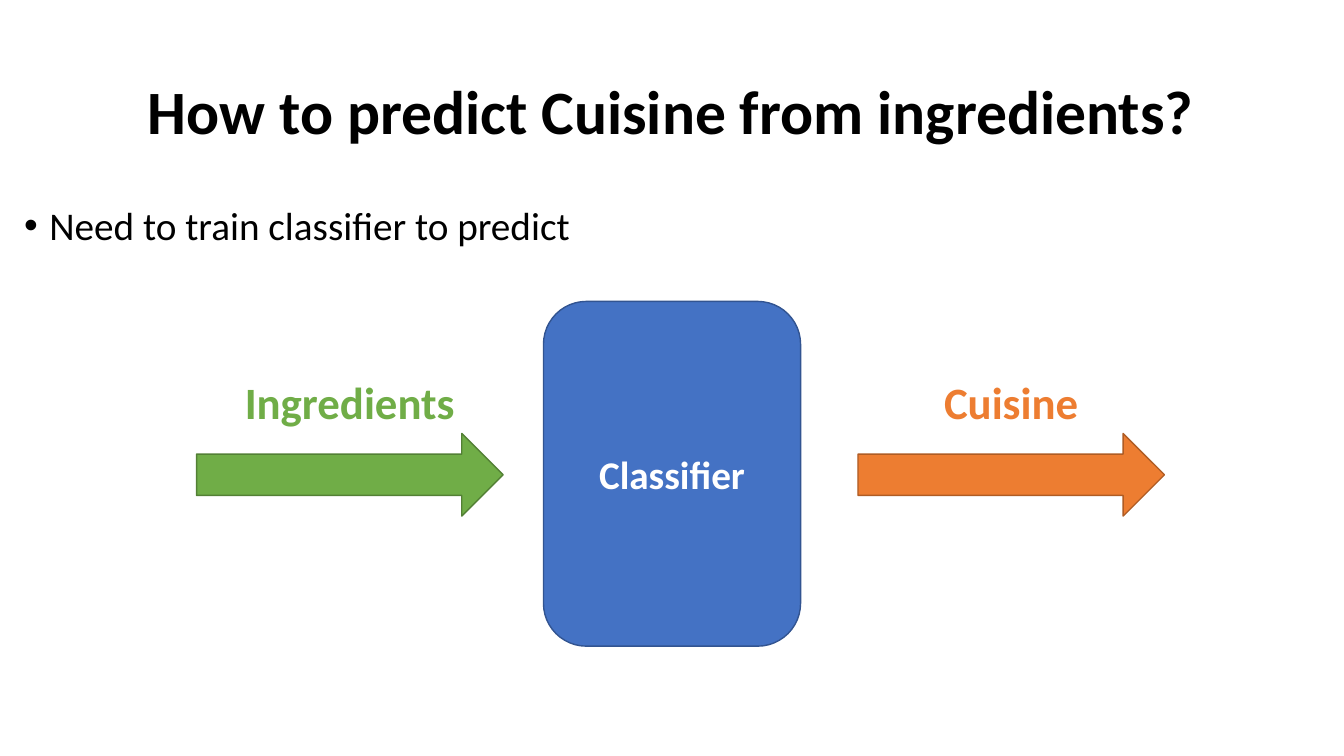
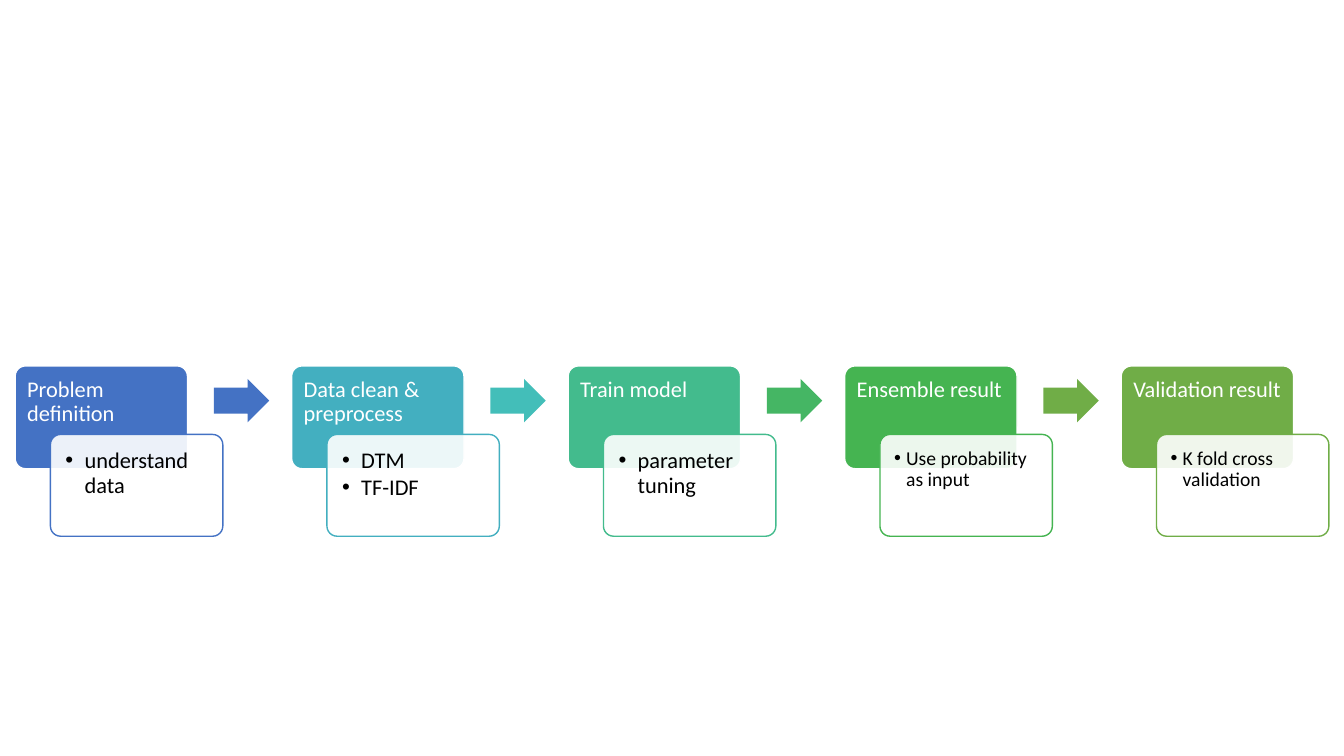
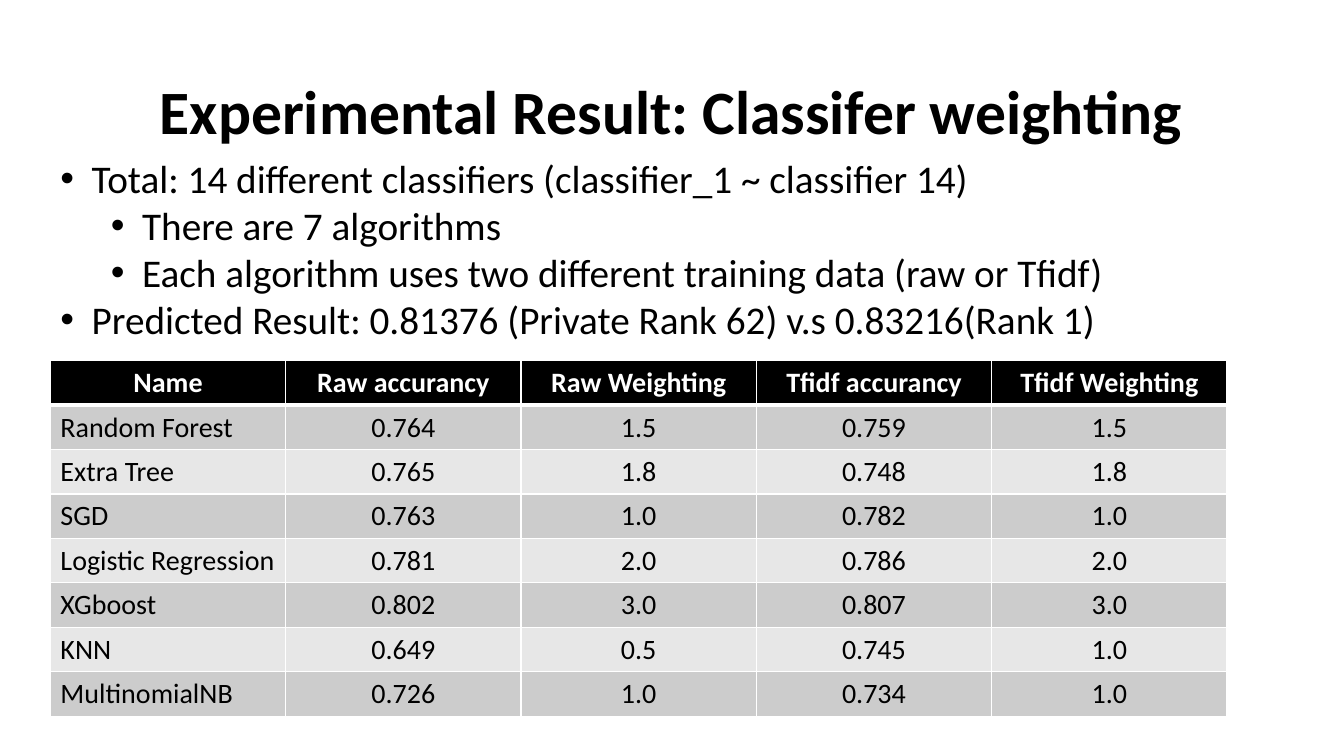
import pptx
import pptx.util
import pptx.dml.color
import pptx.enum.shapes
import pptx.enum.text
import pptx.oxml
import pptx.oxml.ns
from dataclasses import dataclass

Inches, Pt = pptx.util.Inches, pptx.util.Pt
PRESET = pptx.enum.shapes.MSO_SHAPE
ALIGN = pptx.enum.text.PP_ALIGN
ANCHOR = pptx.enum.text.MSO_ANCHOR
NO_AUTOFIT = pptx.enum.text.MSO_AUTO_SIZE.NONE


@dataclass(frozen=True)
class Theme:
    font: str = "Calibri"
    ink: str = "000000"
    paper: str = "FFFFFF"
    blue: str = "4472C4"
    blue_edge: str = "325491"
    green: str = "70AD47"
    green_edge: str = "538035"
    orange: str = "ED7D31"
    orange_edge: str = "AF5C24"
    bands: tuple = ("CCCCCC", "E7E7E7")
    title: int = 44
    label: int = 32
    body: int = 28
    cell: int = 20
    step: int = 16
    small: int = 14


THEME = Theme()
TITLE_BOX = (0.14, 0.41, 13.04, 1.45)

PREDICT_TITLE = "How to predict Cuisine from ingredients?"
PREDICT_POINTS = [(0, "Need to train classifier to predict")]
CLASSIFIER = "Classifier"
FLOWS = [  # label, left, fill, edge
    ("Ingredients", 1.95, THEME.green, THEME.green_edge),
    ("Cuisine", 8.51, THEME.orange, THEME.orange_edge),
]

STEPS = [  # heading, details, detail size, colour, colour of the arrow that follows
    ("Problem definition", ["understand data"], THEME.step, THEME.blue, THEME.blue),
    ("Data clean & preprocess", ["DTM", "TF-IDF"], THEME.step, "43AFC0", "43BEB9"),
    ("Train model", ["parameter tuning"], THEME.step, "43BB8D", "45B664"),
    ("Ensemble result", ["Use probability as input"], THEME.small, "45B451", THEME.green),
    ("Validation result", ["K fold cross validation"], THEME.small, THEME.green, None),
]

RESULT_TITLE = "Experimental Result: Classifer weighting"
RESULT_POINTS = [
    (0, "Total: 14 different classifiers (classifier_1 ~ classifier 14)"),
    (1, "There are 7 algorithms"),
    (1, "Each algorithm uses two different training data (raw or Tfidf)"),
    (0, "Predicted Result: 0.81376 (Private Rank 62) v.s 0.83216(Rank 1)"),
]
RESULT_ROWS = [
    ("Name", "Raw accurancy", "Raw Weighting", "Tfidf accurancy", "Tfidf Weighting"),
    ("Random Forest", "0.764", "1.5", "0.759", "1.5"),
    ("Extra Tree", "0.765", "1.8", "0.748", "1.8"),
    ("SGD", "0.763", "1.0", "0.782", "1.0"),
    ("Logistic Regression", "0.781", "2.0", "0.786", "2.0"),
    ("XGboost", "0.802", "3.0", "0.807", "3.0"),
    ("KNN", "0.649", "0.5", "0.745", "1.0"),
    ("MultinomialNB", "0.726", "1.0", "0.734", "1.0"),
]


def rgb(value):
    return pptx.dml.color.RGBColor.from_string(value)


def inches(box):
    return [Inches(length) for length in box]


def apply(target, formats):
    for attribute, value in formats.items():
        setattr(target, attribute, value)


def add_xml(parent, tag, **attributes):
    child = pptx.oxml.parse_xml(f'<{tag} {pptx.oxml.ns.nsdecls("a")}/>')
    for attribute, value in attributes.items():
        child.set(attribute, str(value))
    parent.append(child)
    return child


def write(frame, points, size, color, bold=False, hang=None, **formats):
    """Fill a frame with (level, text) points; hang is the bullet's hanging indent."""
    for number, (level, text) in enumerate(points):
        paragraph = frame.add_paragraph() if number else frame.paragraphs[0]
        run = paragraph.add_run()
        run.text = text
        apply(run.font, {"name": THEME.font, "size": Pt(size), "bold": bold})
        run.font.color.rgb = rgb(color)
        apply(paragraph, {"level": level, "space_before": Pt(0), **formats})
        if hang:
            properties = paragraph._p.get_or_add_pPr()
            properties.set("marL", str(Inches(hang + level * 0.5)))
            properties.set("indent", str(-Inches(hang)))
            add_xml(properties, "a:buFont", typeface="Arial")
            add_xml(properties, "a:buChar", char="•")


def place(placeholder, box):
    apply(placeholder, dict(zip(("left", "top", "width", "height"), inches(box))))
    apply(placeholder.text_frame, {"auto_size": NO_AUTOFIT, "word_wrap": True})
    return placeholder.text_frame


def add_content_slide(deck, title, points, points_box, hang, **formats):
    slide = deck.slides.add_slide(deck.slide_layouts[1])
    heading = place(slide.shapes.title, TITLE_BOX)
    heading.vertical_anchor = ANCHOR.MIDDLE
    write(heading, [(0, title)], THEME.title, THEME.ink, True,
          alignment=ALIGN.CENTER, line_spacing=0.9)
    write(place(slide.placeholders[1], points_box), points, THEME.body, THEME.ink,
          hang=hang, **formats)
    return slide


def add_preset(slide, preset, box, fill, edge=None, adjustments=()):
    shape = slide.shapes.add_shape(preset, *inches(box))
    shape.shadow.inherit = False
    shape.fill.solid()
    shape.fill.fore_color.rgb = rgb(fill)
    if edge:
        shape.line.color.rgb = rgb(edge)
        shape.line.width = Pt(1)
    else:
        shape.line.fill.background()
    for number, value in enumerate(adjustments):
        shape.adjustments[number] = value
    return shape


def add_card(slide, box, fill, edge, inset):
    card = add_preset(slide, PRESET.ROUNDED_RECTANGLE, box, fill, edge, [0.1])
    sides = ("margin_left", "margin_top", "margin_right", "margin_bottom")
    apply(card.text_frame, {side: Inches(inset) for side in sides})
    apply(card.text_frame, {"vertical_anchor": ANCHOR.TOP, "word_wrap": True})
    return card


def build_prediction(deck):
    slide = add_content_slide(deck, PREDICT_TITLE, PREDICT_POINTS, (0.14, 2, 13.04, 4.95),
                              0.25, line_spacing=0.9, space_before=Pt(10))
    classifier = add_preset(slide, PRESET.FLOWCHART_ALTERNATE_PROCESS,
                            (5.39, 2.99, 2.55, 3.42), THEME.blue, THEME.blue_edge)
    classifier.text_frame.vertical_anchor = ANCHOR.MIDDLE
    write(classifier.text_frame, [(0, CLASSIFIER)], THEME.body, THEME.paper, True,
          alignment=ALIGN.CENTER)
    for label, left, fill, edge in FLOWS:
        add_preset(slide, PRESET.RIGHT_ARROW, (left, 4.3, 3.04, 0.82), fill, edge)
        caption = slide.shapes.add_textbox(*inches((left, 3.67, 3.04, 0.64))).text_frame
        caption.word_wrap = True
        write(caption, [(0, label)], THEME.label, fill, True, alignment=ALIGN.CENTER)


def build_process(deck):
    slide = deck.slides.add_slide(deck.slide_layouts[6])
    first, last, top = 0.15, 11.12, 3.63
    pitch = (last - first) / (len(STEPS) - 1)
    for number, (heading, details, size, color, arrow) in enumerate(STEPS):
        left = first + number * pitch
        head = add_card(slide, (left, top, 1.71, 1.02), color, THEME.paper, 0.09)
        write(head.text_frame, [(0, heading)], THEME.step, THEME.paper,
              alignment=ALIGN.LEFT, line_spacing=0.9)
        small = size == THEME.small
        card = add_card(slide, (left + 0.35, top + 0.68, 1.71, 1.01),
                        THEME.paper, color, 0.11 if small else 0.12)
        tint = card._element.spPr.find(pptx.oxml.ns.qn("a:solidFill"))[0]
        add_xml(tint, "a:alpha", val=90000)
        write(card.text_frame, [(0, detail) for detail in details], size, THEME.ink,
              hang=0.12 if small else 0.19, alignment=ALIGN.LEFT,
              line_spacing=0.9, space_after=Pt(2))
        if arrow:
            add_preset(slide, PRESET.RIGHT_ARROW, (left + 1.97, top + 0.13, 0.55, 0.43),
                       arrow, adjustments=[0.6, 0.5])


def add_borders(cell, row):
    widths = {"L": 1, "R": 1, "T": 3 if row == 1 else 1, "B": 3 if row == 0 else 1}
    properties = cell._tc.get_or_add_tcPr()
    for position, (side, width) in enumerate(widths.items()):
        border = add_xml(properties, f"a:ln{side}", w=Pt(width))
        add_xml(add_xml(border, "a:solidFill"), "a:srgbClr", val=THEME.paper)
        properties.insert(position, border)


def build_results(deck):
    slide = add_content_slide(deck, RESULT_TITLE, RESULT_POINTS, (0.5, 1.48, 12.01, 1.99),
                              0.31)
    table = slide.shapes.add_table(len(RESULT_ROWS), len(RESULT_ROWS[0]),
                                   *inches((0.5, 3.58, 11.67, 3.47))).table
    for row, values in enumerate(RESULT_ROWS):
        header = row == 0
        for column, value in enumerate(values):
            cell = table.cell(row, column)
            cell.fill.solid()
            cell.fill.fore_color.rgb = rgb(THEME.ink if header else THEME.bands[(row - 1) % 2])
            add_borders(cell, row)
            write(cell.text_frame, [(0, value)], THEME.cell,
                  THEME.paper if header else THEME.ink, header,
                  alignment=ALIGN.CENTER if header or column else ALIGN.LEFT)


def main():
    deck = pptx.Presentation()
    deck.slide_width, deck.slide_height = Inches(13.33), Inches(7.5)
    build_prediction(deck)
    build_process(deck)
    build_results(deck)
    deck.save("out.pptx")


if __name__ == "__main__":
    main()
